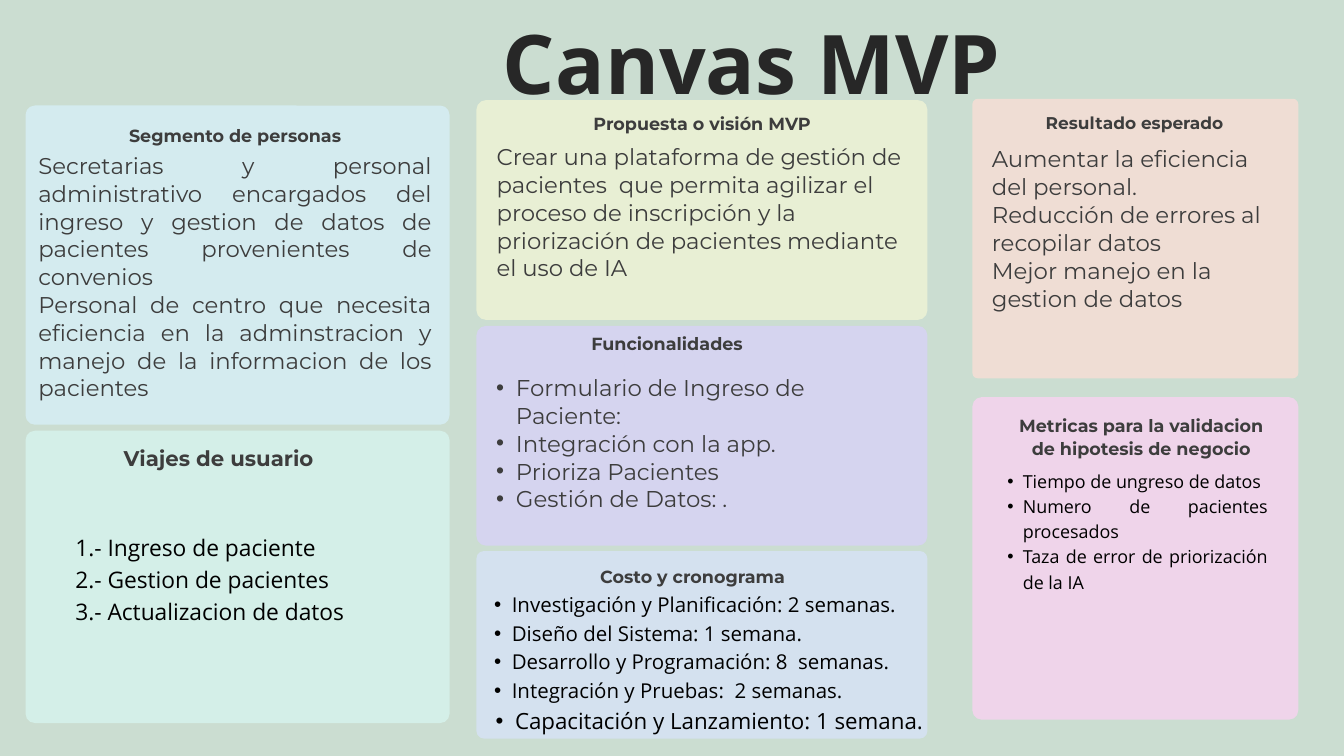
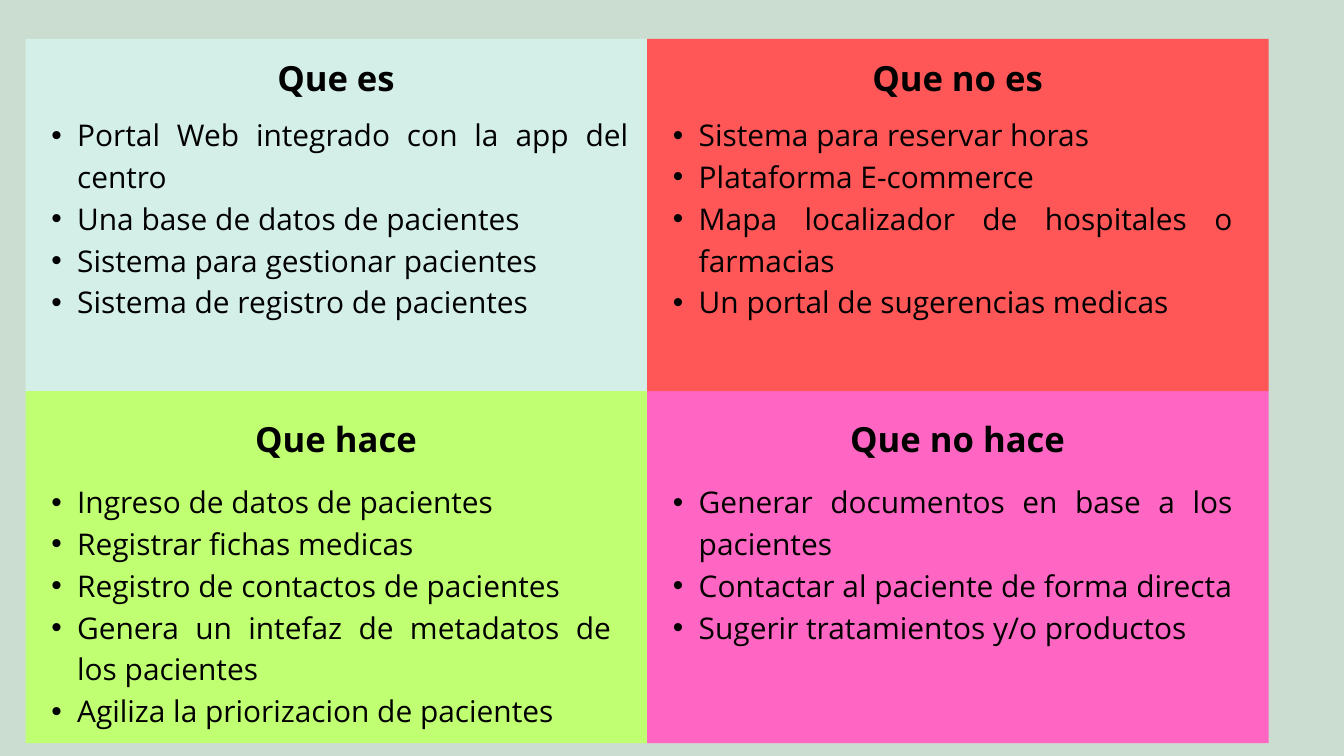
import pptx
import pptx.dml.color
import pptx.enum.shapes
import pptx.enum.text
import pptx.oxml
import pptx.oxml.ns
import pptx.util
from pptx.util import Inches

RGBColor = pptx.dml.color.RGBColor
ALIGN = pptx.enum.text.PP_ALIGN
SHAPE = pptx.enum.shapes.MSO_SHAPE

BACKGROUND = RGBColor(0xCB, 0xDD, 0xD1)
TITLE_INK = RGBColor(0x27, 0x27, 0x27)
GRAY_INK = RGBColor(0x3D, 0x3D, 0x3D)
BLACK = RGBColor(0x00, 0x00, 0x00)
LILAC = RGBColor(0xD5, 0xD4, 0xEF)
SKY = RGBColor(0xD4, 0xEB, 0xEF)
CREAM = RGBColor(0xE8, 0xEF, 0xD4)
PEACH = RGBColor(0xEF, 0xDD, 0xD4)
ROSE = RGBColor(0xEF, 0xD4, 0xEA)
MINT = RGBColor(0xD4, 0xEF, 0xE8)
ICE = RGBColor(0xD4, 0xE1, 0xEF)
LIME = RGBColor(0xC1, 0xFF, 0x72)
PINK = RGBColor(0xFF, 0x66, 0xC4)
RED = RGBColor(0xFF, 0x57, 0x57)

# Formats; leading is the line pitch as a multiple of the text size
PLAIN = dict(font="Open Sans", color=BLACK, leading=1.4)
BODY = dict(font="Montserrat", color=GRAY_INK, leading=1.22)
HEADING = dict(font="Montserrat", color=GRAY_INK, leading=1.3, bold=True)
LIST = dict(PLAIN, align=ALIGN.JUSTIFY, bullet=True)


def add_bullet(para, size):
    """Hang a round bullet by an indent in proportion to the text size."""
    step = Inches(size * 0.012)
    para.level = 1
    properties = para._p.get_or_add_pPr()
    properties.set("marL", str(2 * step))
    properties.set("indent", str(-step))
    namespace = pptx.oxml.ns.nsdecls("a")
    properties.append(pptx.oxml.parse_xml(f'<a:buFont {namespace} typeface="Arial"/>'))
    properties.append(pptx.oxml.parse_xml(f'<a:buChar {namespace} char="•"/>'))


def write(para, text, *, size, font, color, leading,
          bold=False, align=ALIGN.LEFT, bullet=False):
    if bullet:
        add_bullet(para, size)
    para.alignment = align
    para.line_spacing = pptx.util.Pt(round(size * leading, 1))
    span = para.add_run()
    span.text = text
    span.font.name = font
    span.font.size = pptx.util.Pt(size)
    span.font.bold = bold
    span.font.color.rgb = color


class Canvas:
    """Holds the deck, its shared style and the slide being filled."""

    def __init__(self):
        self.deck = pptx.Presentation()
        self.deck.slide_width = Inches(20)
        self.deck.slide_height = Inches(11.25)
        self.page = None

    def new_page(self):
        self.page = self.deck.slides.add_slide(self.deck.slide_layouts[6])
        self.page.background.fill.solid()
        self.page.background.fill.fore_color.rgb = BACKGROUND

    def panel(self, left, top, width, height, color, radius=0):
        kind = SHAPE.ROUNDED_RECTANGLE if radius else SHAPE.RECTANGLE
        panel = self.page.shapes.add_shape(
            kind, Inches(left), Inches(top), Inches(width), Inches(height))
        if radius:
            panel.adjustments[0] = radius / min(width, height)
        panel.shadow.inherit = False
        panel.fill.solid()
        panel.fill.fore_color.rgb = color
        panel.line.fill.background()

    def text(self, left, top, width, height, lines, **style):
        box = self.page.shapes.add_textbox(
            Inches(left), Inches(top), Inches(width), Inches(height))
        frame = box.text_frame
        frame.word_wrap = True
        frame.auto_size = pptx.enum.text.MSO_AUTO_SIZE.SHAPE_TO_FIT_TEXT
        frame.margin_left = frame.margin_right = 0
        frame.margin_top = frame.margin_bottom = 0
        for number, line in enumerate(lines):
            para = frame.add_paragraph() if number else frame.paragraphs[0]
            write(para, line, **style)
        return frame

    def heading(self, left, top, width, height, text, size=18.8, align=ALIGN.LEFT):
        self.text(left, top, width, height, [text], size=size, align=align, **HEADING)


def build_mvp_canvas(canvas):
    canvas.new_page()
    canvas.text(5.78, -0.06, 10.81, 1.65, ["Canvas MVP"], size=88.1,
                **dict(PLAIN, color=TITLE_INK, bold=True, align=ALIGN.CENTER))

    for left, top, width, height, color, radius in (
            (7.09, 4.85, 6.71, 3.27, LILAC, 0.14),
            (0.38, 1.57, 6.31, 4.75, SKY, 0.14),
            (7.09, 1.49, 6.71, 3.27, CREAM, 0.14),
            (14.47, 1.47, 4.85, 4.16, PEACH, 0.08),
            (14.47, 5.91, 4.85, 4.8, ROSE, 0.14),
            (0.38, 6.41, 6.31, 4.35, MINT, 0.14),
            (7.09, 8.2, 6.71, 2.79, ICE, 0.11)):
        canvas.panel(left, top, width, height, color, radius)

    canvas.heading(1.92, 1.84, 3.24, 0.33, "Segmento de personas")
    canvas.text(0.57, 2.25, 5.85, 3.66, [
        "Secretarias y personal administrativo encargados del ingreso y gestion "
        "de datos de pacientes provenientes de convenios",
        "Personal de centro que necesita eficiencia en la adminstracion y manejo "
        "de la informacion de los pacientes",
    ], size=24.4, align=ALIGN.JUSTIFY, **BODY)

    canvas.heading(15.36, 1.65, 3.05, 0.32, "Resultado esperado", 18.2, ALIGN.CENTER)
    canvas.text(14.76, 2.15, 4.11, 2.44, [
        "Aumentar la eficiencia del personal.",
        "Reducción de errores al recopilar datos",
        "Mejor manejo en la gestion de datos",
    ], size=24.5, **BODY)

    canvas.heading(8.8, 4.93, 2.4, 0.32, "Funcionalidades")
    canvas.text(7.09, 5.55, 6.49, 2.03, [
        "Formulario de Ingreso de Paciente:",
        "Integración con la app.",
        "Prioriza Pacientes",
        "Gestión de Datos: .",
    ], size=24.5, bullet=True, **BODY)

    canvas.heading(7.68, 1.65, 5.54, 0.33, "Propuesta o visión MVP", align=ALIGN.CENTER)
    canvas.text(7.39, 2.12, 6.12, 2.03, [
        "Crear una plataforma de gestión de pacientes  que permita agilizar el "
        "proceso de inscripción y la priorización de pacientes mediante el uso de IA",
    ], size=24.4, **BODY)

    canvas.heading(15.09, 6.15, 3.79, 0.66,
                   "Metricas para la validacion de hipotesis de negocio",
                   align=ALIGN.CENTER)
    canvas.text(14.76, 6.95, 4.11, 1.81, [
        "Tiempo de ungreso de datos",
        "Numero de pacientes procesados",
        "Taza de error de priorización de la IA",
    ], size=19.2, **LIST)

    canvas.heading(1.84, 6.6, 3.4, 0.4, "Viajes de usuario", 22.8)
    canvas.text(1.12, 7.87, 5.49, 1.38, [
        "1.- Ingreso de paciente",
        "2.- Gestion de pacientes",
        "3.- Actualizacion de datos",
    ], size=24.4, align=ALIGN.JUSTIFY, **PLAIN)

    canvas.heading(8.93, 8.39, 3.03, 0.32, "Costo y cronograma")
    schedule = canvas.text(7.09, 8.75, 6.71, 2.13, [
        "Investigación y Planificación: 2 semanas.",
        "Diseño del Sistema: 1 semana.",
        "Desarrollo y Programación: 8  semanas.",
        "Integración y Pruebas:  2 semanas.",
    ], size=21.9, **LIST)
    write(schedule.add_paragraph(), "Capacitación y Lanzamiento: 1 semana.",
          size=23.9, **LIST)


def build_scope_matrix(canvas):
    canvas.new_page()
    left, top, width, height = 0.38, 0.58, 9.25, 5.24
    heading_tops = (0.74, 6.11)
    list_tops = (1.65, 7.11)
    # Row, column, colour, heading, list width, items
    quadrants = (
        (0, 0, MINT, "Que es", 8.98, (
            "Portal Web integrado con la app del centro",
            "Una base de datos de pacientes",
            "Sistema para gestionar pacientes",
            "Sistema de registro de pacientes")),
        (1, 0, LIME, "Que hace", 8.72, (
            "Ingreso de datos de pacientes",
            "Registrar fichas medicas",
            "Registro de contactos de pacientes",
            "Genera un intefaz de metadatos de los pacientes",
            "Agiliza la priorizacion de pacientes")),
        (1, 1, PINK, "Que no hace", 8.72, (
            "Generar documentos en base a los pacientes",
            "Contactar al paciente de forma directa",
            "Sugerir tratamientos y/o productos")),
        (0, 1, RED, "Que no es", 8.72, (
            "Sistema para reservar horas",
            "Plataforma E-commerce",
            "Mapa localizador de hospitales o farmacias",
            "Un portal de sugerencias medicas")),
    )
    for row, column, color, *_ in quadrants:
        canvas.panel(left + column * width, top + row * height, width, height, color)
    for row, column, _, heading, list_width, items in quadrants:
        start = left + column * width
        canvas.text(start + 2.87, heading_tops[row], 3.5, 0.69, [heading], size=37.1,
                    bold=True, align=ALIGN.CENTER, **PLAIN)
        canvas.text(start, list_tops[row], list_width, 3.05, items, size=32, **LIST)


def main():
    canvas = Canvas()
    build_mvp_canvas(canvas)
    build_scope_matrix(canvas)
    canvas.deck.save("out.pptx")


if __name__ == "__main__":
    main()
